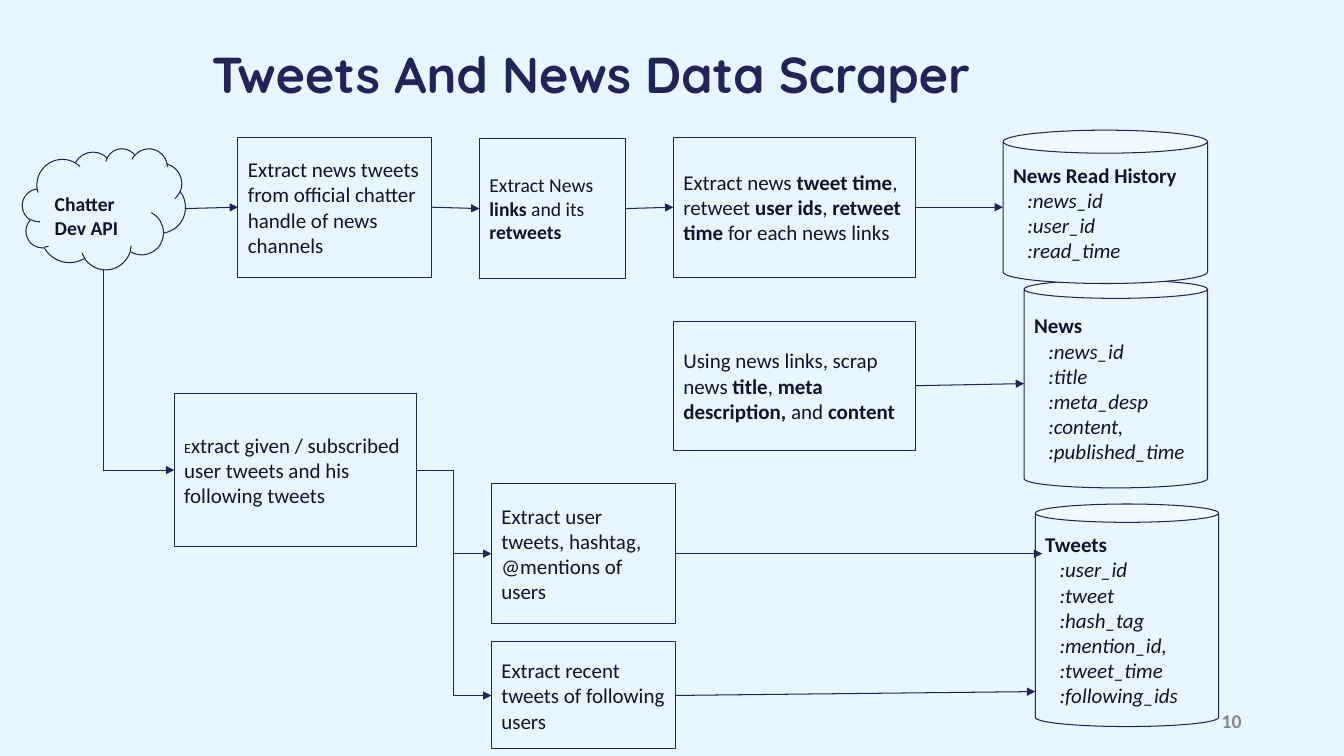
import pptx
import pptx.dml.color
import pptx.enum.shapes
import pptx.enum.text
import pptx.oxml
import pptx.oxml.ns
import pptx.util

Pt = pptx.util.Pt
SHAPE = pptx.enum.shapes.MSO_SHAPE
CONNECTOR = pptx.enum.shapes.MSO_CONNECTOR
ANCHOR = pptx.enum.text.MSO_ANCHOR
ALIGN = pptx.enum.text.PP_ALIGN
qn = pptx.oxml.ns.qn

COLORS = {"sky": "EAF6FF", "navy": "212459", "ink": "10132B", "gray": "88888B"}
TOP, LEFT, BOTTOM, RIGHT = range(4)


def rgb(name):
    return pptx.dml.color.RGBColor.from_string(COLORS[name])


def write(paragraph, text, size=15, font="Calibri", color="ink", bold=False,
          italic=False, align=ALIGN.LEFT):
    """Append text to the paragraph; parts between asterisks switch bold."""
    paragraph.alignment = align
    for index, part in enumerate(text.split("*")):
        if part:
            run = paragraph.add_run()
            run.text = part
            run.font.size = Pt(size)
            run.font.name = font
            run.font.color.rgb = rgb(color)
            run.font.bold = bold or index % 2 == 1
            run.font.italic = italic


deck = pptx.Presentation()
deck.slide_width, deck.slide_height = Pt(960), Pt(540)
slide = deck.slides.add_slide(deck.slide_layouts[5])
slide.background.fill.solid()
slide.background.fill.fore_color.rgb = rgb("sky")

title = slide.shapes.title
title.left, title.top, title.width, title.height = Pt(144), Pt(27.5), Pt(600), Pt(51)
title.text_frame.vertical_anchor = ANCHOR.TOP
title.text_frame.auto_size = pptx.enum.text.MSO_AUTO_SIZE.NONE
write(title.text_frame.paragraphs[0], "Tweets And News Data Scraper",
      size=36, font="Quicksand", color="navy", bold=True)

# Flow nodes: preset, position and size, text, text size
nodes = {
    "api": (SHAPE.CLOUD, (16, 106, 116.5, 86.5), "*Chatter Dev API*", 14),
    "channels": (SHAPE.RECTANGLE, (170, 98, 138.5, 100),
                 "Extract news tweets from official chatter handle of news channels", 15),
    "links": (SHAPE.RECTANGLE, (342.5, 99, 104.5, 100),
              "Extract News *links* and its *retweets*", 14),
    "retweets": (SHAPE.RECTANGLE, (481, 98, 173, 100),
                 "Extract news *tweet time*, retweet *user ids*, *retweet time*"
                 " for each news links", 15),
    "content": (SHAPE.RECTANGLE, (481, 229.5, 173, 92),
                "Using news links, scrap news *title*, *meta description, *and *content*", 15),
    "subscribed": (SHAPE.RECTANGLE, (124.5, 281, 173, 109.5),
                   "xtract given / subscribed user tweets and his following tweets", 15),
    "user": (SHAPE.RECTANGLE, (351, 345.5, 131.5, 100),
             "Extract user tweets, hashtag, @mentions of users", 15),
    "following": (SHAPE.RECTANGLE, (351, 458.5, 131.5, 76.5),
                  "Extract recent tweets of following users", 15),
    "news": (SHAPE.CAN, (731.5, 200, 131, 148.5), "*News*", 15),
    "history": (SHAPE.CAN, (716.5, 93, 146, 109.5), "*News Read History*", 15),
    "tweets": (SHAPE.CAN, (739.5, 360, 131, 159), "*Tweets*", 15),
}
fields = {
    "news": [":news_id", ":title", ":meta_desp", ":content,", ":published_time"],
    "history": [":news_id", ":user_id", ":read_time"],
    "tweets": [":user_id", ":tweet", ":hash_tag", ":mention_id,", ":tweet_time",
               ":following_ids"],
}
can_curves = {"news": 0.1, "history": 0.15, "tweets": 0.1}

placed = {}
for name, (preset, box, text, size) in nodes.items():
    node = slide.shapes.add_shape(preset, *map(Pt, box))
    node.shadow.inherit = False
    node.fill.solid()
    node.fill.fore_color.rgb = rgb("sky")
    node.line.color.rgb = rgb("navy")
    node.line.width = Pt(0.75)
    frame = node.text_frame
    frame.word_wrap = True
    frame.vertical_anchor = ANCHOR.MIDDLE
    frame.margin_left = frame.margin_right = Pt(7.2)
    frame.margin_top = frame.margin_bottom = Pt(7.2)
    if name == "subscribed":
        write(frame.paragraphs[0], "E", size=10)
    write(frame.paragraphs[0], text, size=size)
    if name in can_curves:
        node.adjustments[0] = can_curves[name]
    for field in fields.get(name, []):
        row = frame.add_paragraph()
        write(row, field, italic=True)
        row._p.get_or_add_pPr().set("marL", str(Pt(10.2)))
    placed[name] = node
placed["api"].text_frame.margin_top = Pt(20.6)

# Arrows: each end is a point or a rectangle's name with its side
arrows = [
    (CONNECTOR.STRAIGHT, (132, 149), ("channels", LEFT)),
    (CONNECTOR.STRAIGHT, ("channels", RIGHT), ("links", LEFT)),
    (CONNECTOR.STRAIGHT, ("links", RIGHT), ("retweets", LEFT)),
    (CONNECTOR.STRAIGHT, ("retweets", RIGHT), (716.5, 148)),
    (CONNECTOR.STRAIGHT, ("content", RIGHT), (731.5, 274)),
    (CONNECTOR.STRAIGHT, ("user", RIGHT), (744.5, 395.5)),
    (CONNECTOR.STRAIGHT, ("following", RIGHT), (739.5, 494)),
    (CONNECTOR.ELBOW, ("subscribed", RIGHT), ("user", LEFT)),
    (CONNECTOR.ELBOW, ("subscribed", RIGHT), ("following", LEFT)),
    (CONNECTOR.ELBOW, (74, 192), ("subscribed", LEFT)),
]
for kind, start, end in arrows:
    points = [Pt(0) if isinstance(value, str) else Pt(value) for value in start + end]
    arrow = slide.shapes.add_connector(kind, *points)
    if start[0] in placed:
        arrow.begin_connect(placed[start[0]], start[1])
    if end[0] in placed:
        arrow.end_connect(placed[end[0]], end[1])
    arrow.line.color.rgb = rgb("navy")
    arrow.line.width = Pt(0.75)
    head = pptx.oxml.parse_xml(
        '<a:tailEnd xmlns:a="http://schemas.openxmlformats.org/drawingml/2006/main"'
        ' type="triangle"/>')
    arrow.line._get_or_add_ln().append(head)
    arrow._element.spPr.append(head.makeelement(qn("a:effectLst")))

# The last arrow runs down from the cloud and turns once: a rotated single bend
run, drop = arrow.width, arrow.height
center_x, center_y = arrow.left + run // 2, arrow.top + drop // 2
arrow.left, arrow.top = center_x - drop // 2, center_y - run // 2
arrow.width, arrow.height = drop, run
arrow._element.spPr.find(qn("a:prstGeom")).set("prst", "bentConnector2")
turn = arrow._element.spPr.find(qn("a:xfrm"))
turn.set("rot", "16200000")
turn.set("flipH", "1")

page_number = slide.shapes.add_textbox(Pt(678), Pt(500.5), Pt(216), Pt(29)).text_frame
page_number.word_wrap = True
page_number.vertical_anchor = ANCHOR.MIDDLE
write(page_number.paragraphs[0], "10", size=14, color="gray", bold=True, align=ALIGN.RIGHT)

deck.save("out.pptx")
